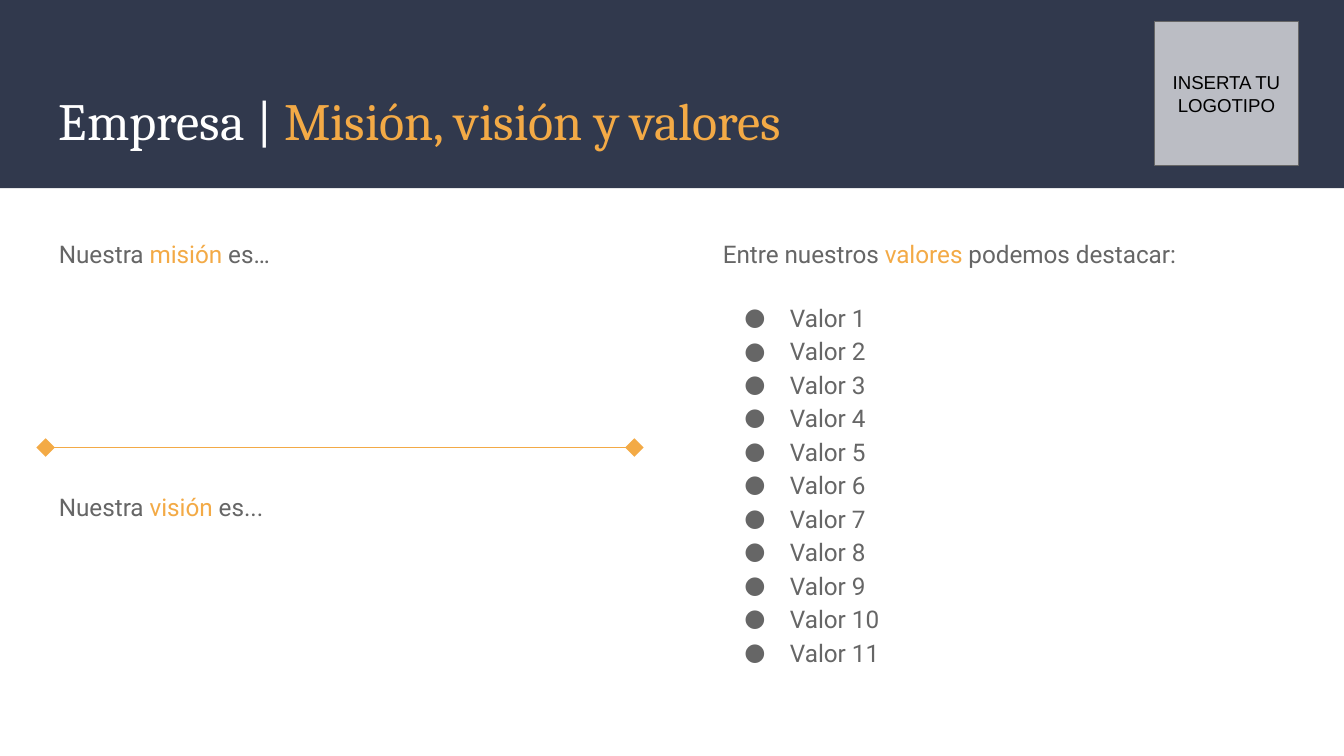
from pptx import Presentation
from pptx.dml.color import RGBColor
from pptx.enum.shapes import MSO_CONNECTOR, MSO_SHAPE
from pptx.enum.text import MSO_ANCHOR, PP_ALIGN
from pptx.oxml.ns import qn
from pptx.util import Inches, Pt
from lxml import etree

RECTANGLE = MSO_SHAPE.RECTANGLE
STRAIGHT = MSO_CONNECTOR.STRAIGHT
MIDDLE = MSO_ANCHOR.MIDDLE
CENTER = PP_ALIGN.CENTER

COLORS = {"navy": "31394D", "orange": "F3AA46", "gray": "666666",
          "white": "FFFFFF", "black": "000000"}
MARGIN = 0.34
BODY_TOP, BODY_WIDTH, BODY_HEIGHT = 1.65, 4.37, 3.36
BODY_FONT = "Roboto"
BODY_FORMAT = {"line_spacing": 1.15, "space_before": Pt(0), "space_after": Pt(16)}
VISION_GAP = 101.7


def color(name):
    return RGBColor.from_string(COLORS[name])


def write(para, spans, font, size, **formats):
    """Fill a paragraph with (text, colour) spans and set its formats."""
    for name, value in formats.items():
        setattr(para, name, value)
    for text, tone in spans:
        span = para.add_run()
        span.text = text
        span.font.name = font
        span.font.size = Pt(size)
        span.font.color.rgb = color(tone)


deck = Presentation()
deck.slide_width = Inches(10)
deck.slide_height = deck.slide_width * 9 // 16
page = deck.slides.add_slide(deck.slide_layouts[6])

# Header band
band = page.shapes.add_shape(RECTANGLE, 0, 0, deck.slide_width, Inches(1.4))
band.shadow.inherit = False
band.fill.solid()
band.fill.fore_color.rgb = color("navy")
band.line.fill.background()

# Text boxes
frames = []
for left, top, width, height in (
    (MARGIN, 0.55, 9.32, 0.68),
    (MARGIN, BODY_TOP, BODY_WIDTH, BODY_HEIGHT),
    (5.28, BODY_TOP, BODY_WIDTH, BODY_HEIGHT),
):
    box = page.shapes.add_textbox(Inches(left), Inches(top), Inches(width), Inches(height))
    frames.append(box.text_frame)
title, statements, values = frames

# Logo holder
logo = page.shapes.add_shape(RECTANGLE, Inches(8.59), Inches(0.16), Inches(1.07), Inches(1.07))
logo.shadow.inherit = False
logo.fill.solid()
logo.fill.fore_color.rgb = color("white")
tint = logo.fill._xPr.find(qn("a:solidFill"))[0]
etree.SubElement(tint, qn("a:alpha"), val="67000")
logo.line.color.rgb = color("gray")
logo.line.width = Pt(0.75)

for frame in (*frames, logo.text_frame):
    frame.word_wrap = True
    for side in ("left", "right", "top", "bottom"):
        setattr(frame, f"margin_{side}", Inches(0.1))
for frame in (title, logo.text_frame):
    frame.vertical_anchor = MIDDLE

write(title.paragraphs[0],
      [("Empresa | ", "white"), ("Misión, visión y valores", "orange")], "Cambria", 28)
write(logo.text_frame.paragraphs[0], [("INSERTA TU LOGOTIPO", "black")],
      "Arial", 10, alignment=CENTER)

# Mission and vision
write(statements.paragraphs[0],
      [("Nuestra ", "gray"), ("misión ", "orange"), ("es…", "gray")],
      BODY_FONT, 13, **BODY_FORMAT)
write(statements.add_paragraph(),
      [("Nuestra ", "gray"), ("visión", "orange"), (" es...", "gray")],
      BODY_FONT, 13, **{**BODY_FORMAT, "space_before": Pt(VISION_GAP)})

# Values
write(values.paragraphs[0],
      [("Entre nuestros ", "gray"), ("valores", "orange"), (" podemos destacar:", "gray")],
      BODY_FONT, 13, **BODY_FORMAT)
for number in range(1, 12):
    para = values.add_paragraph()
    write(para, [(f"Valor {number}", "gray")], BODY_FONT, 13,
          **{**BODY_FORMAT, "space_after": Pt(0)})
    properties = para._p.get_or_add_pPr()
    properties.set("marL", str(Inches(0.5)))
    properties.set("indent", str(Inches(-0.34)))
    bullet_color = etree.SubElement(properties, qn("a:buClr"))
    etree.SubElement(bullet_color, qn("a:srgbClr"), val=COLORS["gray"])
    etree.SubElement(properties, qn("a:buFont"), typeface=BODY_FONT)
    etree.SubElement(properties, qn("a:buChar"), char="●")

# Divider between mission and vision
divider = page.shapes.add_connector(STRAIGHT, Inches(MARGIN), Inches(3.33),
                                    Inches(4.72), Inches(3.33))
divider.line.color.rgb = color("orange")
divider.line.width = Pt(0.75)
outline = divider.line._get_or_add_ln()
for end in ("a:headEnd", "a:tailEnd"):
    etree.SubElement(outline, qn(end), type="diamond", w="lg", len="lg")
etree.SubElement(divider._element.spPr, qn("a:effectLst"))

deck.save("out.pptx")
